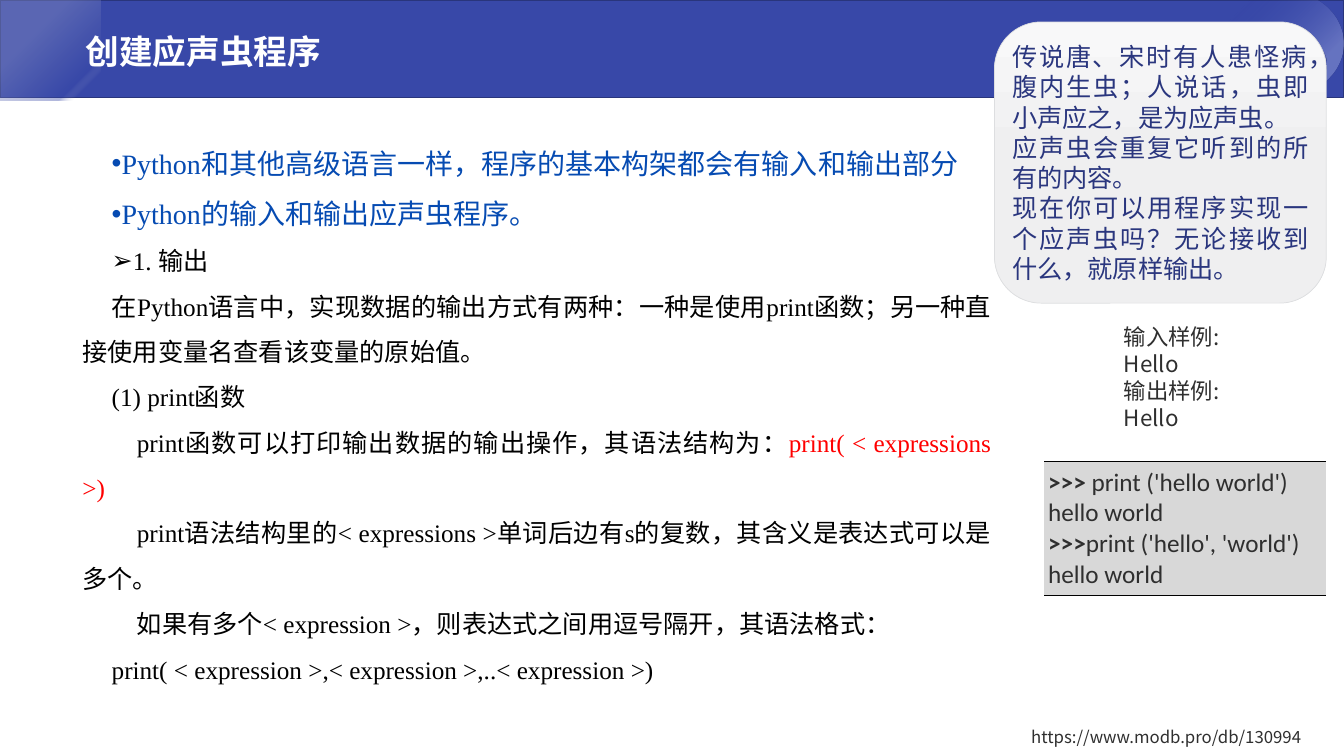
import math
import pptx
import pptx.util
import pptx.dml.color
import pptx.enum.shapes
import pptx.enum.text
import pptx.oxml
import pptx.oxml.ns

Pt = pptx.util.Pt
Inches = pptx.util.Inches
SHAPE = pptx.enum.shapes.MSO_SHAPE
ALIGN = pptx.enum.text.PP_ALIGN
ANCHOR = pptx.enum.text.MSO_ANCHOR
rgb = pptx.dml.color.RGBColor.from_string
NS = pptx.oxml.ns.nsdecls("a")

BLUE, NAVY, INK = "3848A8", "2A367E", "2F2F2F"
CJK, SERIF = "Noto Sans CJK SC", "Times New Roman"

deck = pptx.Presentation()
deck.slide_width, deck.slide_height = Inches(13.3333), Inches(7.5)
col, row = deck.slide_width // 1000, deck.slide_height // 1000
slide = deck.slides.add_slide(deck.slide_layouts[5])
shapes = slide.shapes


def gradient(shape, stops, direction):
    """Fill a shape with (position %, colour, opacity %) stops."""
    shape.shadow.inherit = False
    shape.line.fill.background()
    marks = "".join(
        f'<a:gs pos="{pos * 1000}"><a:srgbClr val="{color}">'
        f'<a:alpha val="{alpha * 1000}"/></a:srgbClr></a:gs>'
        for pos, color, alpha in stops)
    fill = pptx.oxml.parse_xml(
        f'<a:gradFill {NS} rotWithShape="1"><a:gsLst>{marks}</a:gsLst>{direction}</a:gradFill>')
    shape.fill.background()
    old = shape._element.spPr.find(pptx.oxml.ns.qn("a:noFill"))
    old.getparent().replace(old, fill)


def write(frame, lines, size, font, color, pitch=1.2, align=ALIGN.LEFT):
    """Write lines of (text, bold, colour) runs at a pitch in multiples of size."""
    frame.word_wrap = True
    for number, runs in enumerate(lines):
        paragraph = frame.paragraphs[0] if number == 0 else frame.add_paragraph()
        paragraph.alignment = align
        paragraph.line_spacing = Pt(round(size * pitch, 1))
        for text, bold, run_color in runs:
            run = paragraph.add_run()
            run.text = text
            if bold:
                run.font.bold = True
            if run_color:
                run.font.color.rgb = rgb(run_color)
        paragraph.font.size = Pt(size)
        paragraph.font.name = font
        paragraph.font.color.rgb = rgb(color)


# Header band with its glowing circles
band = shapes.add_shape(SHAPE.RECTANGLE, 0, 0, 1000 * col, 129 * row)
band.shadow.inherit = False
band.fill.solid()
band.fill.fore_color.rgb = rgb(BLUE)
band.line.color.rgb = rgb("29357C")
band.line.width = Pt(1)

diagonal = '<a:lin ang="2700000" scaled="0"/>'
corner = '<a:path path="circle"><a:fillToRect l="100000" t="100000"/></a:path>'
large_glow = shapes.add_shape(SHAPE.OVAL, 908 * col, -13 * row, 92 * col, 141 * row)
gradient(large_glow, [(25, "9EA8DF", 45), (83, BLUE, 0), (100, BLUE, 0)], corner)
small_glow = shapes.add_shape(SHAPE.OVAL, 950 * col, 53 * row, 37 * col, 61 * row)
gradient(small_glow, [(34, "DDDEE0", 34), (74, BLUE, 100)], diagonal)

rim = [(max(0, 0.2 + 0.67 * math.cos(math.radians(a))),
        max(0, 0.19 + 0.68 * math.sin(math.radians(a)))) for a in range(0, 360, 5)]
builder = shapes.build_freeform(*rim[0], scale=Inches(1))
builder.add_line_segments(rim[1:], close=True)
gradient(builder.convert_to_shape(),
         [(34, "8B93C4", 42), (79, BLUE, 40), (86, "B1B6D1", 0)], diagonal)

# Title, brought in front of the band
title = shapes.title
title.left, title.top, title.width, title.height = 54 * col, 13 * row, 891 * col, 116 * row
shapes._spTree.append(title._element)
title.text_frame.margin_left = title.text_frame.margin_right = Inches(0.13)
title.text_frame.vertical_anchor = ANCHOR.MIDDLE
title.text_frame.text = "创建应声虫程序"
heading = title.text_frame.paragraphs[0]
heading.alignment = ALIGN.LEFT
heading.line_spacing = 0.9
heading.font.size, heading.font.bold, heading.font.name = Pt(24), True, "Arial"
heading.font.color.rgb = rgb("FFFFFF")

# Lesson text: bullet, first-line indent, size, colour, runs
lesson = [
    ("•", 0.29, 20, "064BB2", ["Python和其他高级语言一样，程序的基本构架都会有输入和输出部分"]),
    ("•", 0.29, 20, "064BB2", ["Python的输入和输出应声虫程序。"]),
    ("➢", 0.29, 18, "000000", ["1. 输出"]),
    ("", 0.29, 18, "000000", ["在Python语言中，实现数据的输出方式有两种：一种是使用print函数；"
                              "另一种直接使用变量名查看该变量的原始值。"]),
    ("", 0.29, 18, "000000", ["(1) print函数"]),
    ("", 0.54, 18, "000000", ["print函数可以打印输出数据的输出操作，其语法结构为：",
                              "print( < expressions >)"]),
    ("", 0.54, 18, "000000", ["print语法结构里的< expressions >单词后边有s的复数，"
                              "其含义是表达式可以是多个。"]),
    ("", 0.54, 18, "000000", ["如果有多个< expression >，则表达式之间用逗号隔开，其语法格式："]),
    ("", 0.29, 18, "000000", ["print( < expression >,< expression >,..< expression >)"]),
]
body = shapes.add_textbox(54 * col, 165 * row, 691 * col, 729 * row).text_frame
body.word_wrap = True
for number, (bullet, indent, size, color, texts) in enumerate(lesson):
    point = body.paragraphs[0] if number == 0 else body.add_paragraph()
    point.alignment = ALIGN.JUSTIFY
    point.line_spacing = Pt(size * 1.8)
    properties = point._p.get_or_add_pPr()
    properties.set("marL", "0")
    properties.set("indent", str(Inches(indent)))
    if bullet:
        properties.append(pptx.oxml.parse_xml(f'<a:buFont {NS} typeface="Arial"/>'))
        properties.append(pptx.oxml.parse_xml(f'<a:buChar {NS} char="{bullet}"/>'))
    for text in texts:
        run = point.add_run()
        run.text = text
    if len(texts) > 1:
        run.font.color.rgb = rgb("FF0000")
    point.font.size, point.font.name = Pt(size), SERIF
    point.font.color.rgb = rgb(color)

# Story card
story = shapes.add_shape(SHAPE.ROUNDED_RECTANGLE, 740 * col, 29 * row, 247 * col, 372 * row)
gradient(story, [(0, "F8F8F9", 100), (50, "EFEFF0", 100), (100, "EDEEEF", 100)],
         '<a:lin ang="5400000" scaled="0"/>')
story.line.color.rgb = rgb("DDDEE0")
story.line.width = Pt(0.5)
story.text_frame.margin_left = story.text_frame.margin_right = Inches(0.04)
story.text_frame.vertical_anchor = ANCHOR.MIDDLE
write(story.text_frame, [
    [("传说唐、宋时有人患怪病，腹内生虫；人说话，虫即小声应之，是为应声虫。", False, None)],
    [("应声虫会重复它听到的所有的内容。", False, None)],
    [("现在你可以用程序实现一个应声虫吗？无论接收到什么，就原样输出。", False, None)],
], 18, "Noto Sans CJK JP", NAVY, align=ALIGN.JUSTIFY)

# Sample input and output
sample = shapes.add_textbox(829 * col, 421 * row, 117 * col, 157 * row)
write(sample.text_frame, [[(text, False, None)] for text in
                          ("输入样例:", "Hello", "输出样例:", "Hello")], 16, CJK, INK)

# Console session in a one-cell table
console = shapes.add_table(1, 1, 777 * col, 611 * row, 210 * col, 173 * row).table
console.first_row = console.horz_banding = False
session = console.cell(0, 0)
session.margin_left = session.margin_right = Inches(0.04)
session.vertical_anchor = ANCHOR.MIDDLE
session.fill.solid()
session.fill.fore_color.rgb = rgb("D8D8D8")
for place, (edge, paint) in enumerate([
        ("lnL", "<a:noFill/>"), ("lnR", "<a:noFill/>"),
        ("lnT", '<a:solidFill><a:srgbClr val="000000"/></a:solidFill>'),
        ("lnB", '<a:solidFill><a:srgbClr val="000000"/></a:solidFill>')]):
    session._tc.get_or_add_tcPr().insert(place, pptx.oxml.parse_xml(
        f'<a:{edge} {NS} w="{Pt(0.75)}">{paint}</a:{edge}>'))
write(session.text_frame, [
    [(">>>", True, None), (" print ('hello world')", False, None)],
    [("hello world", False, None)],
    [(">>>", True, None), ("print ('hello', 'world')", False, None)],
    [("hello world", False, None)],
], 18, "Calibri", INK, pitch=1.22)

# Web address
address = shapes.add_textbox(760 * col, 955 * row, 234 * col, 40 * row)
write(address.text_frame, [[("https://www.modb.pro/db/130994", False, None)]], 12, CJK, INK)

deck.save("out.pptx")
